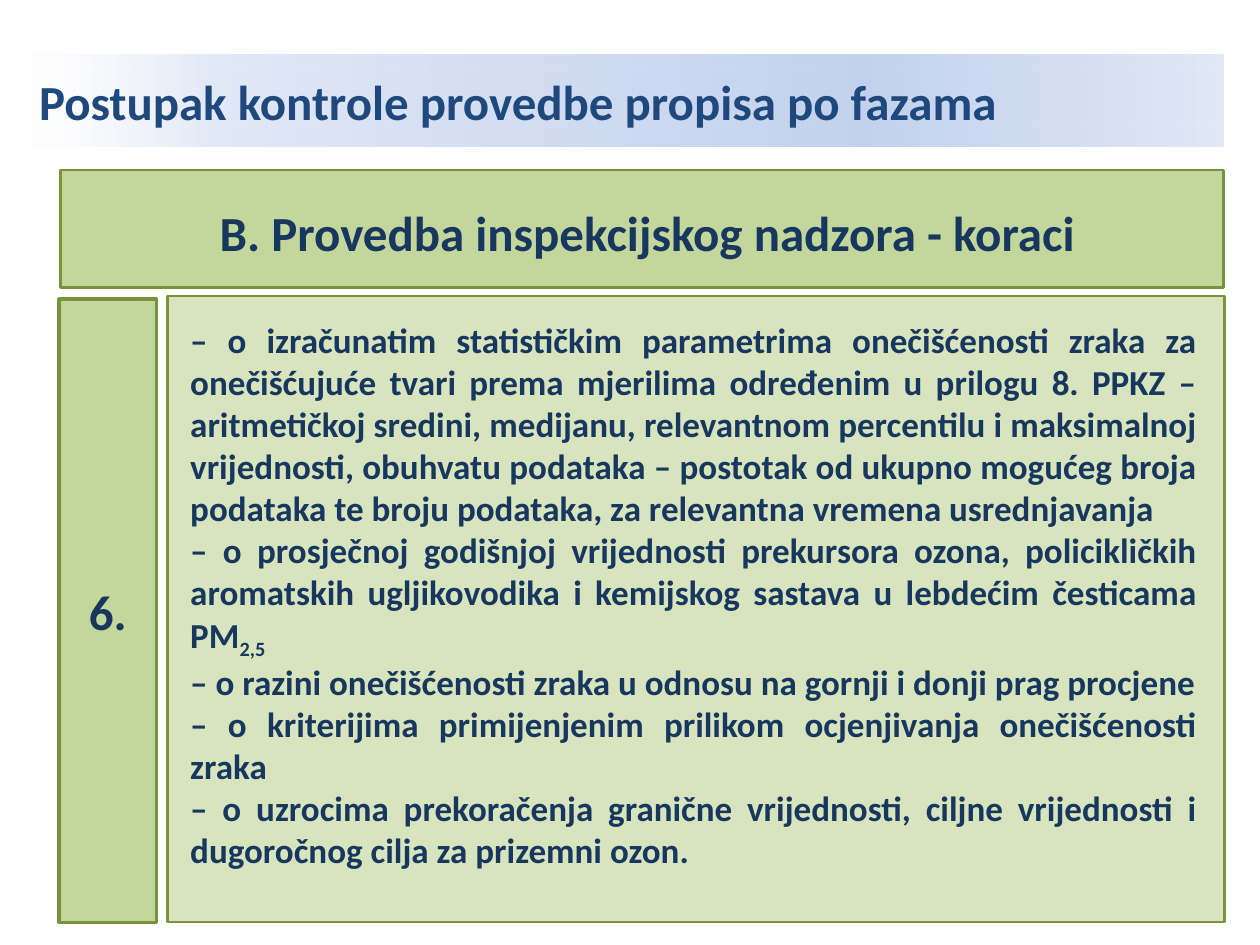
from pptx import Presentation
from pptx.dml.color import RGBColor
from pptx.enum.shapes import MSO_SHAPE
from pptx.enum.text import MSO_ANCHOR, MSO_AUTO_SIZE, PP_ALIGN
from pptx.oxml.ns import qn
from pptx.util import Pt
from lxml.etree import SubElement

THEME = {
    "font": "Calibri",
    "title": RGBColor.from_string("1F497D"),
    "text": RGBColor.from_string("17375E"),
    "header": RGBColor.from_string("C3D69B"),
    "panel": RGBColor.from_string("D7E4BD"),
    "border": RGBColor.from_string("77933C"),
    "heading_size": Pt(28),
    "list_size": Pt(20),
    # position %, colour, opacity %
    "title_band": [(0, "FFFFFF", 52), (16, "E1E8F6", 100),
                   (70, "C2D1ED", 100), (100, "E1E8F5", 100)],
}

FINDINGS = [
    "– o izračunatim statističkim parametrima onečišćenosti zraka za onečišćujuće tvari "
    "prema mjerilima određenim u prilogu 8. PPKZ – aritmetičkoj sredini, medijanu, "
    "relevantnom percentilu i maksimalnoj vrijednosti, obuhvatu podataka – postotak od "
    "ukupno mogućeg broja podataka te broju podataka, za relevantna vremena usrednjavanja",
    "– o prosječnoj godišnjoj vrijednosti prekursora ozona, policikličkih aromatskih "
    "ugljikovodika i kemijskog sastava u lebdećim česticama PM",
    "– o razini onečišćenosti zraka u odnosu na gornji i donji prag procjene",
    "– o kriterijima primijenjenim prilikom ocjenjivanja onečišćenosti zraka",
    "– o uzrocima prekoračenja granične vrijednosti, ciljne vrijednosti i dugoročnog cilja "
    "za prizemni ozon.",
]
SUBSCRIPTS = {1: "2,5"}


def write(paragraph, text, size, color, align):
    paragraph.alignment = align
    run = paragraph.add_run()
    run.text = text
    formats = {"name": THEME["font"], "size": size, "bold": True}
    for attribute, value in formats.items():
        setattr(run.font, attribute, value)
    run.font.color.rgb = color
    return run


def place(shape, left, top, width, height):
    box = {"left": left, "top": top, "width": width, "height": height}
    for attribute, value in box.items():
        setattr(shape, attribute, Pt(value))


prs = Presentation()
prs.slide_width, prs.slide_height = Pt(720), Pt(540)
slide = prs.slides.add_slide(prs.slide_layouts[1])
shapes = slide.shapes

# Title on a gradient band
title = shapes.title
place(title, 15.1, 31.2, 684, 52.6)
title.text_frame.auto_size = MSO_AUTO_SIZE.NONE
title.text_frame.vertical_anchor = MSO_ANCHOR.MIDDLE
write(title.text_frame.paragraphs[0], "Postupak kontrole provedbe propisa po fazama",
      THEME["heading_size"], THEME["title"], PP_ALIGN.LEFT)
title.fill.gradient()
title.fill.gradient_angle = 0
stops = title._element.spPr.find(qn("a:gradFill")).find(qn("a:gsLst"))
for stop in list(stops):
    stops.remove(stop)
for position, color, opacity in THEME["title_band"]:
    stop = SubElement(stops, qn("a:gs"), pos=str(position * 1000))
    stop_color = SubElement(stop, qn("a:srgbClr"), val=color)
    if opacity < 100:
        SubElement(stop_color, qn("a:alpha"), val=str(opacity * 1000))

# Green panels: section header, findings, step number
panels = []
for left, top, width, height, fill, border in [
    (34.6, 97.2, 664.6, 67, "header", 1.5),
    (95.8, 169.2, 604, 357.8, "panel", 1.5),
    (33.8, 171, 55.6, 356.2, "header", 2),
]:
    panel = shapes.add_shape(MSO_SHAPE.RECTANGLE, Pt(left), Pt(top), Pt(width), Pt(height))
    panel.shadow.inherit = False
    panel.fill.solid()
    panel.fill.fore_color.rgb = THEME[fill]
    panel.line.color.rgb = THEME["border"]
    panel.line.width = Pt(border)
    panels.append(panel)

# Step number
step = panels[-1].text_frame
step.vertical_anchor = MSO_ANCHOR.MIDDLE
write(step.paragraphs[0], "6.", THEME["heading_size"], THEME["text"], PP_ALIGN.CENTER)

# Section heading
section = shapes.add_textbox(Pt(34.6), Pt(112.3), Pt(663.8), Pt(41.2)).text_frame
section.word_wrap = True
write(section.paragraphs[0], " B. Provedba inspekcijskog nadzora - koraci",
      THEME["heading_size"], THEME["text"], PP_ALIGN.CENTER)

# Findings list, brought in front of its panel
findings = slide.placeholders[1]
place(findings, 101.5, 178.6, 589.7, 322.6)
shapes._spTree.append(findings._element)
frame = findings.text_frame
frame.auto_size = MSO_AUTO_SIZE.NONE
for index, finding in enumerate(FINDINGS):
    paragraph = frame.paragraphs[0] if index == 0 else frame.add_paragraph()
    paragraph.space_before = Pt(0)
    properties = paragraph._p.get_or_add_pPr()
    properties.set("marL", "0")
    properties.set("indent", "0")
    SubElement(properties, qn("a:buNone"))
    style = (THEME["list_size"], THEME["text"], PP_ALIGN.JUSTIFY)
    write(paragraph, finding, *style)
    if index in SUBSCRIPTS:
        subscript = write(paragraph, SUBSCRIPTS[index], *style)
        subscript._r.get_or_add_rPr().set("baseline", "-25000")

prs.save("out.pptx")
